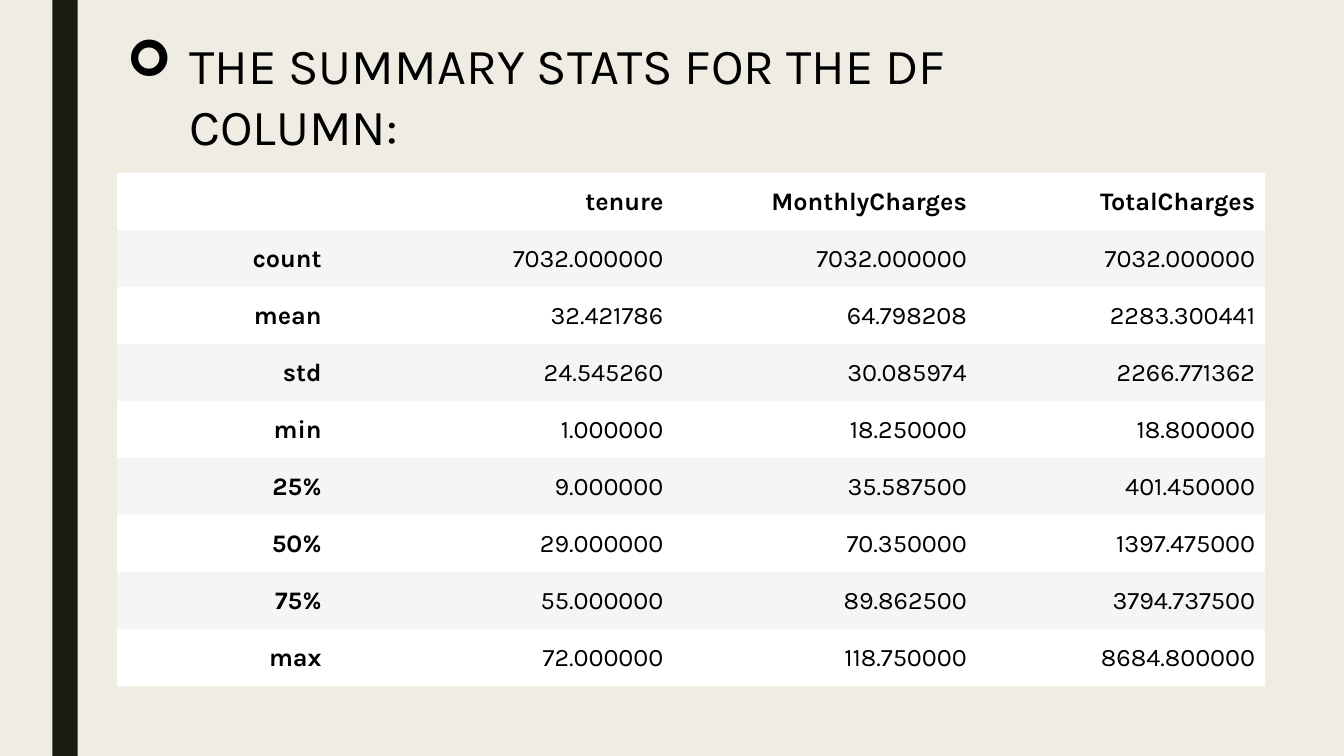
from lxml.etree import SubElement
from pptx import Presentation
from pptx.dml.color import RGBColor
from pptx.enum.shapes import MSO_SHAPE as Shape
from pptx.enum.text import MSO_ANCHOR as Anchor, PP_ALIGN as Align
from pptx.oxml.ns import qn
from pptx.util import Inches, Pt

TITLE = "THE SUMMARY STATS FOR THE DF COLUMN:"
BULLET = "➢"
STATS = [
    ("", "tenure", "MonthlyCharges", "TotalCharges"),
    ("count", "7032.000000", "7032.000000", "7032.000000"),
    ("mean", "32.421786", "64.798208", "2283.300441"),
    ("std", "24.545260", "30.085974", "2266.771362"),
    ("min", "1.000000", "18.250000", "18.800000"),
    ("25%", "9.000000", "35.587500", "401.450000"),
    ("50%", "29.000000", "70.350000", "1397.475000"),
    ("75%", "55.000000", "89.862500", "3794.737500"),
    ("max", "72.000000", "118.750000", "8684.800000"),
]

FONT = "Karla"
BLACK = RGBColor(0x00, 0x00, 0x00)
SAND = RGBColor(0xEF, 0xED, 0xE3)
DARK_OLIVE = RGBColor(0x19, 0x1B, 0x0E)
BANDS = (RGBColor(0xFF, 0xFF, 0xFF), RGBColor(0xF5, 0xF5, 0xF5))
PLAIN_TABLE_STYLE = "{2D5ABB26-0587-4C30-8999-92F81FD0307C}"

SLIDE_WIDTH, SLIDE_HEIGHT = Inches(13.33), Inches(7.5)
CONTENT_LEFT = Inches(1.16)
TABLE_TOP, TABLE_HEIGHT = Inches(1.72), Inches(5.09)
COLUMN_WIDTHS = [Inches(width) for width in (2.13, 3.39, 3.01, 2.86)]
HANGING_INDENT = Inches(0.62)


def write(frame, text, size, bold=False, align=Align.LEFT):
    para = frame.paragraphs[0]
    para.alignment = align
    span = para.add_run()
    span.text = text
    font = span.font
    font.name, font.size, font.bold = FONT, Pt(size), bold
    font.color.rgb = BLACK
    return para


def add_bullet(para, symbol, indent):
    properties = para._p.get_or_add_pPr()
    properties.set("marL", str(indent))
    properties.set("indent", str(-indent))
    SubElement(properties, qn("a:buFont"), typeface="Wingdings")
    SubElement(properties, qn("a:buChar"), char=symbol)


def add_side_bar(page):
    bar = page.shapes.add_shape(
        Shape.RECTANGLE, Inches(0.52), 0, Inches(0.25), SLIDE_HEIGHT)
    bar.shadow.inherit = False
    bar.fill.solid()
    bar.fill.fore_color.rgb = DARK_OLIVE
    bar.line.fill.background()


def add_stats_table(page):
    table = page.shapes.add_table(
        len(STATS), len(COLUMN_WIDTHS), CONTENT_LEFT, TABLE_TOP,
        sum(COLUMN_WIDTHS), TABLE_HEIGHT).table
    table.first_row = table.horz_banding = False
    table._tbl.tblPr.find(qn("a:tableStyleId")).text = PLAIN_TABLE_STYLE
    for column, width in zip(table.columns, COLUMN_WIDTHS):
        column.width = width
    for row, values in enumerate(STATS):
        for col, value in enumerate(values):
            cell = table.cell(row, col)
            cell.fill.solid()
            cell.fill.fore_color.rgb = BANDS[row % 2]
            cell.vertical_anchor = Anchor.MIDDLE
            if value:
                write(cell.text_frame, value, 18,
                      bold=row == 0 or col == 0, align=Align.RIGHT)


def add_title(page):
    box = page.shapes.add_textbox(
        CONTENT_LEFT, Inches(0.29), Inches(10.27), Inches(0.71))
    box.text_frame.word_wrap = True
    add_bullet(write(box.text_frame, TITLE, 36), BULLET, HANGING_INDENT)


def main():
    deck = Presentation()
    deck.slide_width, deck.slide_height = SLIDE_WIDTH, SLIDE_HEIGHT
    page = deck.slides.add_slide(deck.slide_layouts[6])
    page.background.fill.solid()
    page.background.fill.fore_color.rgb = SAND
    add_side_bar(page)
    add_stats_table(page)
    add_title(page)
    deck.save("out.pptx")


if __name__ == "__main__":
    main()
